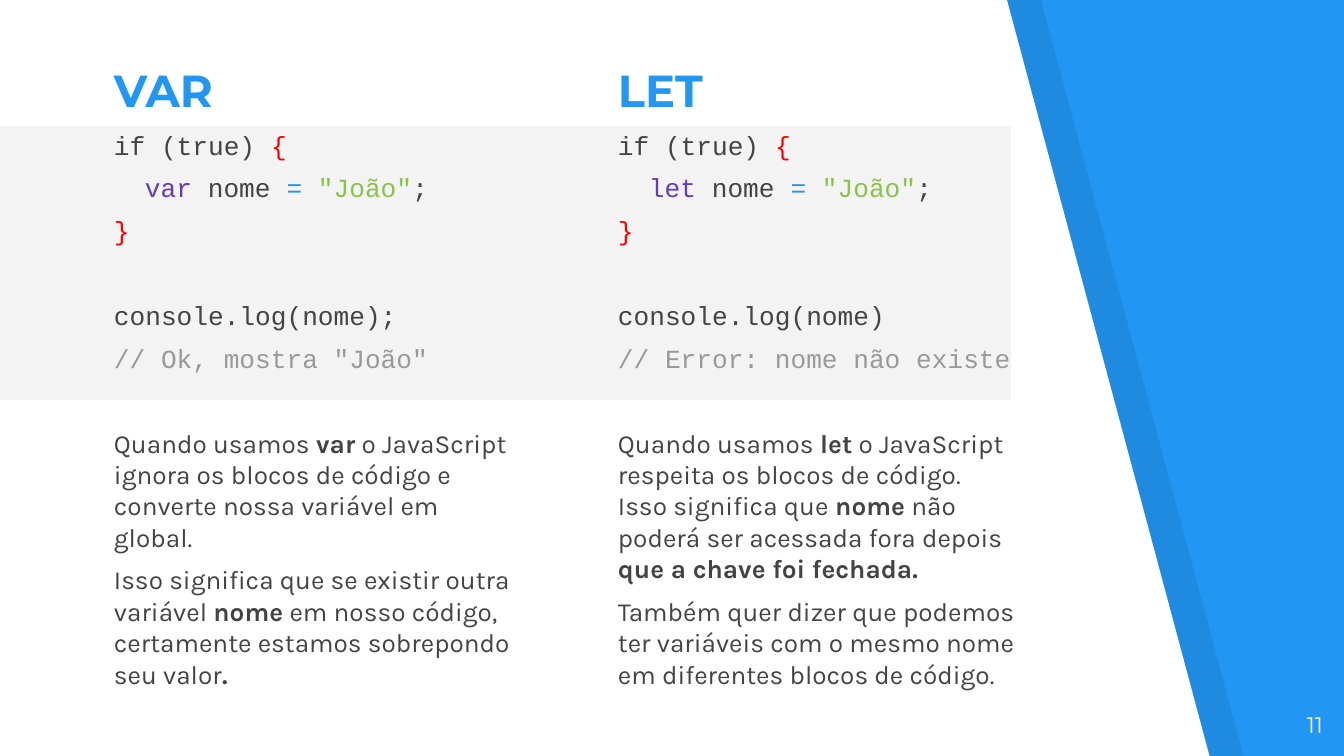
from lxml.etree import SubElement
from pptx import Presentation
from pptx.dml.color import RGBColor
from pptx.enum.shapes import MSO_SHAPE as Shape
from pptx.enum.text import MSO_ANCHOR as Anchor, PP_ALIGN as Align
from pptx.oxml.ns import qn
from pptx.util import Emu, Pt

EMU_PER_PX = 9144000 / 1344
BLUE = RGBColor(0x21, 0x96, 0xF3)
WHITE = RGBColor(0xFF, 0xFF, 0xFF)
BLACK = RGBColor(0x00, 0x00, 0x00)
PALE = RGBColor(0xF3, 0xF3, 0xF3)
INK = RGBColor(0x43, 0x43, 0x43)
RED = RGBColor(0xFF, 0x00, 0x00)
PURPLE = RGBColor(0x67, 0x3A, 0xB7)
GREEN = RGBColor(0x8B, 0xC3, 0x4A)
GREY = RGBColor(0x99, 0x99, 0x99)
CODE, BODY, HEADING = "Courier New", "Karla", "Montserrat"
LINE, GAP = 16.8, 6


def px(length):
    return Emu(round(length * EMU_PER_PX))


def paint(shape, color, opacity=100):
    shape.shadow.inherit = False
    shape.fill.solid()
    shape.fill.fore_color.rgb = color
    shape.line.fill.background()
    if opacity < 100:
        tint = shape.fill._xPr.find(qn("a:solidFill"))[0]
        SubElement(tint, qn("a:alpha"), val=str(opacity * 1000))


def add_panel(slide, left, top, bottom_width, top_width, height, color, opacity=100):
    outline = slide.shapes.build_freeform(left, top, scale=EMU_PER_PX)
    outline.add_line_segments([
        (left, top + height),
        (left + bottom_width, top + height),
        (left + top_width, top + 1),
    ])
    paint(outline.convert_to_shape(), color, opacity)


def add_frame(slide, left, top, width, height, anchor=Anchor.TOP):
    frame = slide.shapes.add_textbox(px(left), px(top), px(width), px(height)).text_frame
    frame.word_wrap = True
    frame.vertical_anchor = anchor
    frame.margin_left = frame.margin_right = px(13)
    frame.margin_top = frame.margin_bottom = px(13)
    return frame


def add_run(paragraph, text, font, size, color, bold=False):
    run = paragraph.add_run()
    run.text = text
    run.font.name, run.font.size, run.font.bold = font, Pt(size), bold
    run.font.color.rgb = color


def add_column(slide, left, top, width, keyword, log_call, comment, remarks):
    title = add_frame(slide, left, top, width, 60, Anchor.BOTTOM)
    add_run(title.paragraphs[0], keyword.upper(), HEADING, 24, BLUE, True)

    code = [
        (0, False, [("if (true) ", INK), ("{", RED)]),
        (31, False, [(keyword, PURPLE), (" nome ", INK), ("= ", BLUE),
                     ('"João"', GREEN), (";", INK)]),
        (0, False, [("}", RED)]),
        (0, True, [(log_call, INK)]),
        (0, False, [(comment, GREY)]),
    ]
    lines = [(indent, apart, [(text, CODE, 14, color) for text, color in parts])
             for indent, apart, parts in code]
    lines += [(0, index == 0, [(text, BODY, 14, INK, bold) for text, bold in parts])
              for index, parts in enumerate(remarks)]

    frame = add_frame(slide, left, top + 46, width, 146)
    for index, (indent, apart, runs) in enumerate(lines):
        paragraph = frame.add_paragraph() if index else frame.paragraphs[0]
        paragraph.line_spacing = Pt(LINE)
        paragraph.space_before = Pt(GAP + (LINE + GAP if apart else 0))
        if indent:
            paragraph._p.get_or_add_pPr().set("marL", str(px(indent)))
        for run in runs:
            add_run(paragraph, *run)


def add_backdrop(slide):
    slide.background.fill.solid()
    slide.background.fill.fore_color.rgb = BLUE
    add_panel(slide, 34, -1, 1210, 1007, 759, BLACK, 7)
    add_panel(slide, 0, -1, 1210, 1007, 759, WHITE)
    band = slide.shapes.add_shape(Shape.RECTANGLE, px(0), px(126), px(1011), px(274))
    paint(band, PALE)


def add_page_number(slide, left, top, width, height, number):
    paragraph = add_frame(slide, left, top, width, height).paragraphs[0]
    paragraph.alignment = Align.RIGHT
    add_run(paragraph, number, HEADING, 12, WHITE)


COLUMNS = [
    ("var", "console.log(nome);", '// Ok, mostra "João"', [
        [("Quando usamos ", False), ("var", True),
         (" o JavaScript ignora os blocos de código e converte nossa variável em global. ",
          False)],
        [("Isso significa que se existir outra variável ", False), ("nome", True),
         (" em nosso código, certamente estamos sobrepondo seu valor", False), (".", True)],
    ]),
    ("let", "console.log(nome)", "// Error: nome não existe", [
        [("Quando usamos ", False), ("let", True),
         (" o JavaScript respeita os blocos de código. Isso significa que ", False),
         ("nome", True), (" não poderá ser acessada fora depois ", False),
         ("que a chave foi fechada.", True)],
        [("Também quer dizer que podemos ter variáveis com o mesmo nome em "
          "diferentes blocos de código.", False)],
    ]),
]

deck = Presentation()
deck.slide_width, deck.slide_height = px(1344), px(756)
comparison = deck.slides.add_slide(deck.slide_layouts[6])
add_backdrop(comparison)
add_page_number(comparison, 1255, 698, 81, 58, "11")
for position, column in enumerate(COLUMNS):
    add_column(comparison, 101 + 504 * position, 70, 423, *column)
deck.save("out.pptx")
